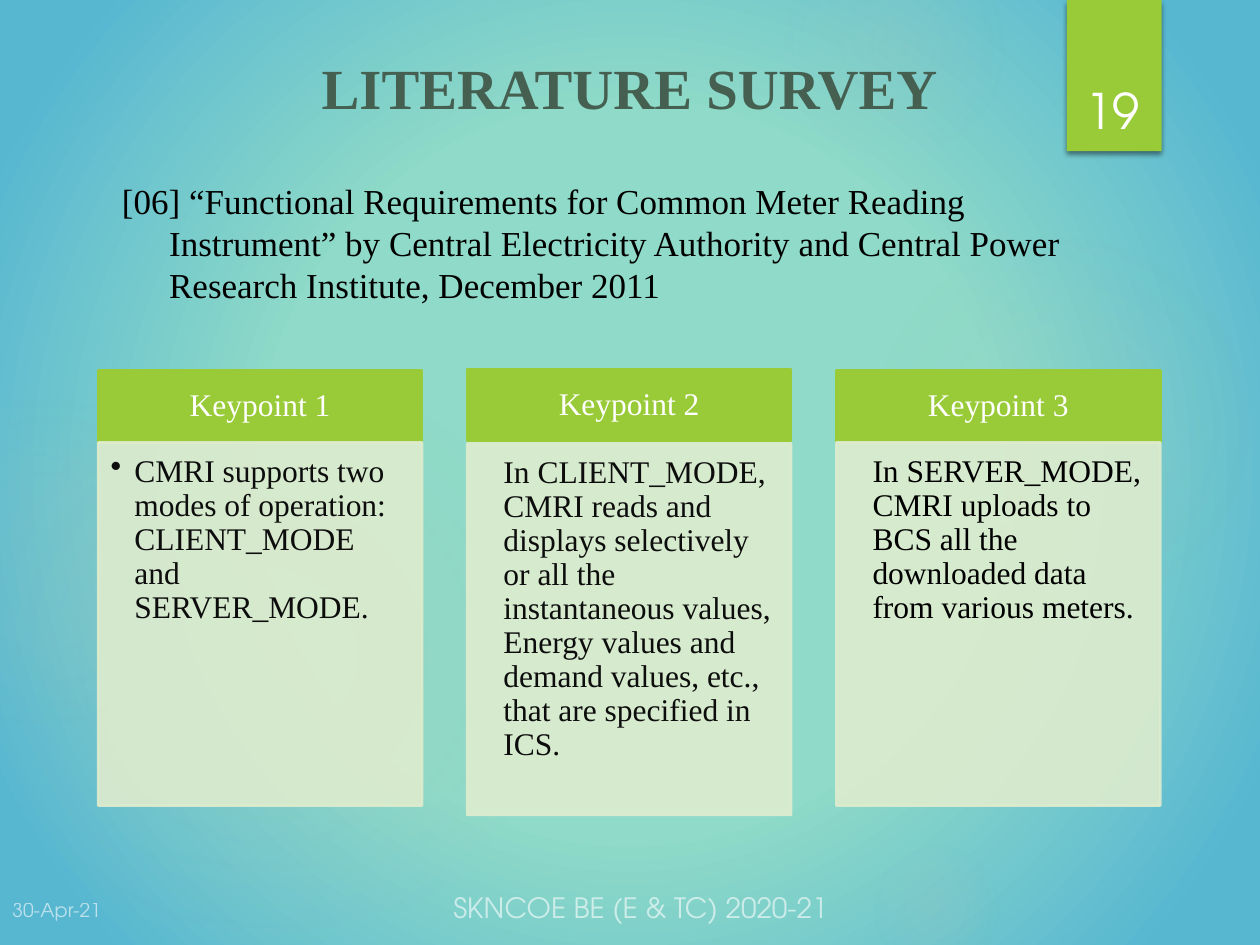
from dataclasses import dataclass

import lxml.etree
import pptx
import pptx.dml.color
import pptx.enum.shapes
import pptx.enum.text
import pptx.oxml
import pptx.oxml.ns
import pptx.util

Cm = pptx.util.Cm
Align = pptx.enum.text.PP_ALIGN
Anchor = pptx.enum.text.MSO_ANCHOR
Preset = pptx.enum.shapes.MSO_SHAPE
qn = pptx.oxml.ns.qn


@dataclass(frozen=True)
class Theme:
    serif: str = "Times New Roman"
    sans: str = "TeX Gyre Adventor"
    center: str = "8FDAC8"
    edge: str = "57B7D1"
    glow: str = "AFC5B9"
    accent: str = "99CB38"
    panel: str = "DEECCE"
    title: str = "455F51"
    ink: str = "0D0D0D"
    black: str = "000000"
    white: str = "FFFFFF"
    title_size: float = 32.4
    number_size: float = 28
    reference_size: float = 20
    card_size: float = 18
    footer_size: float = 16
    date_size: float = 11


THEME = Theme()


@dataclass(frozen=True)
class Box:
    left: float
    top: float
    width: float
    height: float

    def lengths(self) -> tuple:
        return Cm(self.left), Cm(self.top), Cm(self.width), Cm(self.height)


@dataclass(frozen=True)
class Style:
    size: float
    color: str
    font: str = THEME.serif
    bold: bool = False
    alpha: int = 100
    align: Align = Align.LEFT
    anchor: Anchor = Anchor.TOP
    margins: tuple = (0.25, 0.13, 0.25, 0.13)
    spacing: float = 1.0
    hanging: float = 0
    first_line: float = 0
    bullet: bool = False


@dataclass(frozen=True)
class Glow:
    left: float
    top: float
    size: float
    stops: tuple  # (position, alpha) in percent


@dataclass(frozen=True)
class Card:
    heading: str
    text: str
    top: float
    body_top: float
    body_height: float
    color: str = THEME.ink
    bullet: bool = False


GLOWS = [
    Glow(17.5, 4.65, 7.82, ((0, 7), (36, 6), (69, 0))),
    Glow(15.8, -1.27, 4.45, ((0, 14), (36, 7), (73, 0))),
    Glow(17.5, 16.94, 2.74, ((0, 14), (36, 7), (66, 0))),
    Glow(-0.43, 7.42, 11.63, ((0, 11), (36, 10), (75, 0))),
    Glow(-2.34, 8.05, 6.55, ((0, 8), (36, 8), (72, 0))),
]
CARDS = [
    Card("Keypoint 1", "CMRI supports two modes of operation: CLIENT_MODE and SERVER_MODE.",
         7.47, 8.92, 7.32, bullet=True),
    Card("Keypoint 2", "In CLIENT_MODE, CMRI reads and displays selectively or all the "
         "instantaneous values, Energy values and demand values, etc., that are specified in ICS.",
         7.44, 8.94, 7.49),
    Card("Keypoint 3", "In SERVER_MODE, CMRI uploads to BCS all the downloaded data from various meters.",
         7.47, 8.92, 7.32, color=THEME.black),
]
CARD_LEFT, CARD_STEP, CARD_WIDTH, HEADING_HEIGHT = 1.98, 7.44, 6.53, 1.45


def rgb(color: str) -> pptx.dml.color.RGBColor:
    return pptx.dml.color.RGBColor.from_string(color)


def set_alpha(parent, percent: int) -> None:
    """Make the solid colour below parent partly transparent."""
    if percent < 100:
        for color in parent.iter(qn("a:srgbClr")):
            lxml.etree.SubElement(color, qn("a:alpha")).set("val", str(percent * 1000))


def set_radial_fill(properties, stops: list) -> None:
    """Swap a solid fill for a circular gradient of (position, colour, alpha)."""
    marks = "".join(
        f'<a:gs pos="{position * 1000}"><a:srgbClr val="{color}">'
        f'<a:alpha val="{alpha * 1000}"/></a:srgbClr></a:gs>'
        for position, color, alpha in stops)
    gradient = pptx.oxml.parse_xml(
        f'<a:gradFill {pptx.oxml.ns.nsdecls("a")} rotWithShape="1"><a:gsLst>{marks}</a:gsLst>'
        '<a:path path="circle"><a:fillToRect l="50000" t="50000" r="50000" b="50000"/>'
        '</a:path></a:gradFill>')
    properties.replace(properties.find(qn("a:solidFill")), gradient)


def add_block(page, preset: Preset, box: Box, color: str, alpha: int = 100, outlined: bool = False):
    block = page.shapes.add_shape(preset, *box.lengths())
    block.shadow.inherit = False
    block.fill.solid()
    block.fill.fore_color.rgb = rgb(color)
    if outlined:
        block.line.color.rgb = rgb(color)
        block.line.width = pptx.util.Pt(1.5)
    else:
        block.line.fill.background()
    set_alpha(block.element.spPr, alpha)
    return block


def write(shape, text: str, style: Style) -> None:
    frame = shape.text_frame
    frame.text = text
    frame.word_wrap = True
    frame.auto_size = pptx.enum.text.MSO_AUTO_SIZE.NONE
    frame.vertical_anchor = style.anchor
    frame.margin_left, frame.margin_top, frame.margin_right, frame.margin_bottom = map(Cm, style.margins)
    para = frame.paragraphs[0]
    para.alignment = style.align
    para.line_spacing = style.spacing
    properties = para._p.get_or_add_pPr()
    properties.set("marL", str(Cm(style.hanging)))
    properties.set("indent", str(Cm(style.first_line)))
    if style.bullet:
        lxml.etree.SubElement(properties, qn("a:buChar")).set("char", "•")
    span = para.runs[0]
    span.font.name, span.font.size = style.font, pptx.util.Pt(style.size)
    span.font.bold = style.bold
    span.font.color.rgb = rgb(style.color)
    set_alpha(span._r, style.alpha)


def add_text(page, box: Box, text: str, style: Style) -> None:
    write(page.shapes.add_textbox(*box.lengths()), text, style)


def add_card(page, left: float, card: Card) -> None:
    heading = add_block(page, Preset.RECTANGLE, Box(left, card.top, CARD_WIDTH, HEADING_HEIGHT),
                        THEME.accent, outlined=True)
    write(heading, card.heading, Style(THEME.card_size, THEME.white, align=Align.CENTER, spacing=0.9,
                                       anchor=Anchor.MIDDLE, margins=(0.36, 0.2, 0.36, 0.2)))
    body = add_block(page, Preset.RECTANGLE, Box(left, card.body_top, CARD_WIDTH, card.body_height),
                     THEME.panel, alpha=90, outlined=True)
    write(body, card.text, Style(THEME.card_size, card.color, margins=(0.25, 0.25, 0.36, 0.41),
                                 spacing=0.9, hanging=0.48, bullet=card.bullet,
                                 first_line=-0.48 if card.bullet else 0))


def add_ribbon(page) -> None:
    ribbon = add_block(page, Preset.RECTANGLE, Box(21.51, 0, 1.91, 3.05), THEME.accent)
    effects = ribbon.element.spPr.find(qn("a:effectLst"))
    effects.append(pptx.oxml.parse_xml(
        f'<a:outerShdw {pptx.oxml.ns.nsdecls("a")} blurRad="38100" dist="25400" dir="5400000">'
        f'<a:srgbClr val="{THEME.black}"><a:alpha val="45000"/></a:srgbClr></a:outerShdw>'))


def main() -> None:
    deck = pptx.Presentation()
    deck.slide_width, deck.slide_height = Cm(25.4), Cm(19.05)
    page = deck.slides.add_slide(deck.slide_layouts[5])

    # Background with soft glows
    page.background.fill.solid()
    page.background.fill.fore_color.rgb = rgb(THEME.edge)
    set_radial_fill(page.element.find(".//" + qn("p:bgPr")),
                    [(46, THEME.center, 100), (90, THEME.edge, 100)])
    for glow in GLOWS:
        circle = add_block(page, Preset.OVAL, Box(glow.left, glow.top, glow.size, glow.size), THEME.glow)
        set_radial_fill(circle.element.spPr, [(at, THEME.glow, alpha) for at, alpha in glow.stops])
    add_ribbon(page)

    # Title, moved in front of the decoration
    title = page.shapes.title
    title.left, title.top, title.width, title.height = Box(1.75, 0.84, 21.89, 1.52).lengths()
    write(title, "LITERATURE SURVEY", Style(THEME.title_size, THEME.title, bold=True,
                                            align=Align.CENTER, margins=(0.25, 0.23, 0.25, 0)))
    page.shapes._spTree.append(title.element)

    # Date, footer and slide number
    add_text(page, Box(0, 17.98, 4.5, 0.76), "30-Apr-21",
             Style(THEME.date_size, THEME.white, THEME.sans, alpha=60))
    add_text(page, Box(8.89, 18.11, 10.72, 0.64), "SKNCOE BE (E & TC) 2020-21",
             Style(THEME.footer_size, THEME.white, THEME.sans, alpha=60, anchor=Anchor.BOTTOM))
    add_text(page, Box(21.56, 0.81, 1.75, 2.13), "19",
             Style(THEME.number_size, THEME.white, THEME.sans, align=Align.CENTER, anchor=Anchor.BOTTOM))

    # Key points and the reference above them
    for index, card in enumerate(CARDS):
        add_card(page, CARD_LEFT + index * CARD_STEP, card)
    add_text(page, Box(2.21, 3.48, 20.96, 12.55),
             "[06] “Functional Requirements for Common Meter Reading Instrument” by Central "
             "Electricity Authority and Central Power Research Institute, December 2011",
             Style(THEME.reference_size, THEME.black, hanging=0.95, first_line=-0.95))
    deck.save("out.pptx")


if __name__ == "__main__":
    main()
